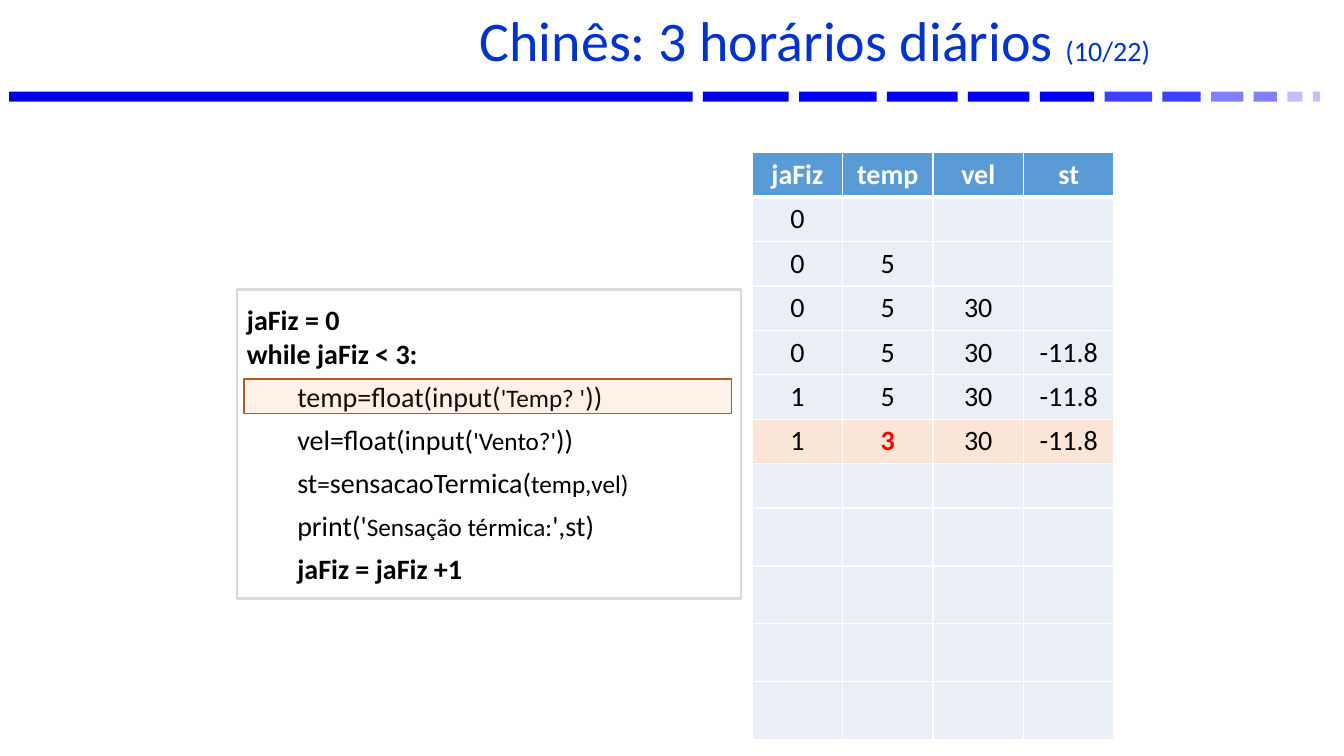
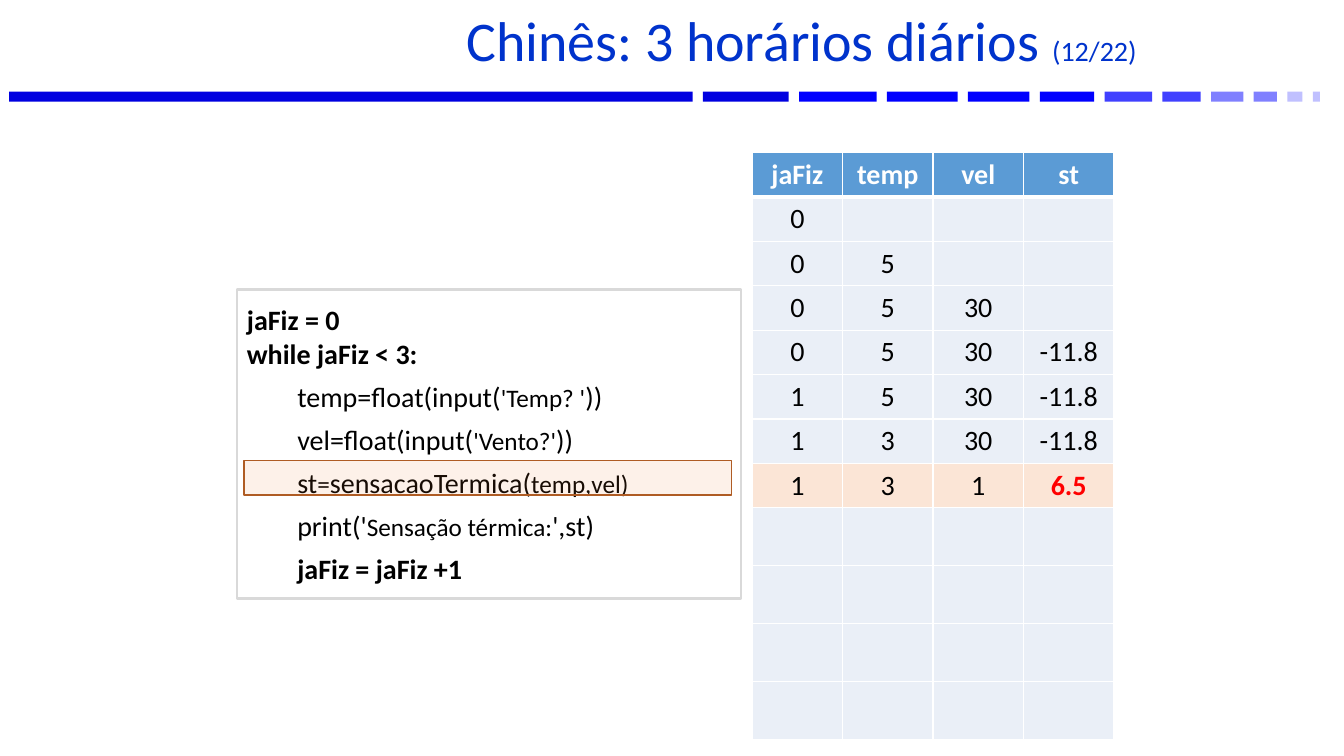
from dataclasses import dataclass

from lxml import etree
from pptx import Presentation
from pptx import util as u
from pptx.dml.color import RGBColor
from pptx.enum import shapes, text
from pptx.oxml.ns import qn


@dataclass(frozen=True)
class Theme:
    font: str = "Calibri"
    title: str = "0033CC"
    ink: str = "000000"
    paper: str = "FFFFFF"
    frame: str = "D9D9D9"
    header: str = "5B9BD5"
    cell: str = "EAEFF7"
    active: str = "FBE5D6"
    changed: str = "FF0000"
    marker: str = "ED7D31"
    marker_line: str = "AF5C24"
    title_size: int = 40
    body_size: int = 20
    small_size: int = 18


BAND_LEFT, BAND_GAP = 0.68, 0.77
BAND = [
    (50.85, "0000E0"), (6.38, "0000E0"),
    (5.78, "0000FF"), (5.25, "0000FF"), (4.58, "0000FF"), (4.05, "0000FF"),
    (3.53, "4040FF"), (2.85, "4040FF"),
    (2.4, "8080FF"), (1.73, "8080FF"),
    (1.13, "C0C0FF"), (0.53, "C0C0FF"),
]

CODE = [
    (0, True, ["jaFiz = 0"]),
    (0, True, ["while jaFiz < 3:"]),
    (1, False, ["temp=float(input(", "'Temp? '", "))"]),
    (1, False, ["vel=float(input(", "'Vento?'", "))"]),
    (1, False, ["st", "=", "sensacaoTermica(", "temp,vel)"]),
    (1, False, ["print('", "Sensação térmica:", "',st)"]),
    (1, True, ["jaFiz = jaFiz +1"]),
]

HEADER = ["jaFiz", "temp", "vel", "st"]
ROW_HEIGHTS = [5.87] * 8 + [7.67] * 4
TRACE = [
    ["0"],
    ["0", "5"],
    ["0", "5", "30"],
    ["0", "5", "30", "-11.8"],
    ["1", "5", "30", "-11.8"],
    ["1", "3", "30", "-11.8"],
    ["1", "3", "1", "6.5"],
]

SLIDES = [
    {"page": "(10/22)", "title_left": 21.28, "steps": 6, "changed": 1, "marker_top": 50.13},
    {"page": "(12/22)", "title_left": 19.28, "steps": 7, "changed": 3, "marker_top": 60.93},
]


class Deck:
    def __init__(self, theme):
        self.theme = theme
        self.prs = Presentation()
        self.prs.slide_width = u.Inches(13.33)
        self.prs.slide_height = u.Inches(7.5)
        self.s = None

    def x(self, share):
        return int(self.prs.slide_width * share / 100)

    def y(self, share):
        return int(self.prs.slide_height * share / 100)

    def area(self, left, top, width, height):
        return self.x(left), self.y(top), self.x(width), self.y(height)

    def new_slide(self):
        self.s = self.prs.slides.add_slide(self.prs.slide_layouts[6])

    def style(self, r, size, color, bold=False):
        r.font.name = self.theme.font
        r.font.size = u.Pt(size)
        r.font.bold = bold
        r.font.color.rgb = RGBColor.from_string(color)

    def rect(self, left, top, width, height, fill, line=None, weight=1, alpha=None):
        sp = self.s.shapes.add_shape(
            shapes.MSO_SHAPE.RECTANGLE, *self.area(left, top, width, height))
        sp.shadow.inherit = False
        sp.fill.solid()
        sp.fill.fore_color.rgb = RGBColor.from_string(fill)
        if alpha is not None:
            clr = sp.fill._xPr.find(qn("a:solidFill"))[0]
            etree.SubElement(clr, qn("a:alpha")).set("val", str(alpha * 1000))
        if line:
            sp.line.color.rgb = RGBColor.from_string(line)
            sp.line.width = u.Pt(weight)
        else:
            sp.line.fill.background()
        return sp

    def band(self):
        left = BAND_LEFT
        for width, color in BAND:
            self.rect(left, 12.13, width, 1.33, color)
            left += width + BAND_GAP

    def title(self, wording, page, left):
        sp = self.s.shapes.add_textbox(*self.area(left, 1.33, 100 - left, 9.33))
        tf = sp.text_frame
        tf.word_wrap = True
        tf.vertical_anchor = text.MSO_ANCHOR.MIDDLE
        p = tf.paragraphs[0]
        p.alignment = text.PP_ALIGN.CENTER
        p.line_spacing = 0.8
        for piece, size in ((wording + " ", self.theme.title_size),
                            (page, self.theme.body_size)):
            r = p.add_run()
            r.text = piece
            self.style(r, size, self.theme.title)

    def code(self, lines):
        t = self.theme
        sp = self.rect(17.63, 38.27, 37.5, 40.93, t.paper, t.frame, 2)
        tf = sp.text_frame
        tf.word_wrap = True
        tf.vertical_anchor = text.MSO_ANCHOR.MIDDLE
        tf.margin_left = tf.margin_right = u.Inches(0.1)
        tf.margin_top = tf.margin_bottom = 0
        for i, (level, bold, pieces) in enumerate(lines):
            p = tf.add_paragraph() if i else tf.paragraphs[0]
            p.alignment = text.PP_ALIGN.LEFT
            if level:
                p.level = level
                p.line_spacing = 1.2
                p.space_before = u.Pt(2)
                pPr = p._p.get_or_add_pPr()
                pPr.set("marL", str(u.Inches(0.5)))
                pPr.set("indent", "0")
            for k, piece in enumerate(pieces):
                r = p.add_run()
                r.text = piece
                self.style(r, t.small_size if k % 2 else t.body_size, t.ink, bold)

    def marker(self, top):
        self.rect(18.15, top, 36.3, 4.53, self.theme.marker,
                  self.theme.marker_line, 1, alpha=10)

    def borders(self, cell, **weights):
        tcPr = cell._tc.get_or_add_tcPr()
        for side in "LRTB":
            ln = etree.SubElement(tcPr, qn("a:ln" + side))
            ln.set("w", str(u.Pt(weights.get(side, 1))))
            fill = etree.SubElement(ln, qn("a:solidFill"))
            etree.SubElement(fill, qn("a:srgbClr")).set("val", self.theme.paper)

    def cell(self, cell, wording, fill, color, bold, **weights):
        self.borders(cell, **weights)
        cell.fill.solid()
        cell.fill.fore_color.rgb = RGBColor.from_string(fill)
        cell.vertical_anchor = text.MSO_ANCHOR.MIDDLE
        p = cell.text_frame.paragraphs[0]
        p.alignment = text.PP_ALIGN.CENTER
        if wording:
            p.text = wording
            self.style(p.runs[0], self.theme.body_size, color, bold)

    def table(self, rows, changed):
        t = self.theme
        tbl = self.s.shapes.add_table(
            len(ROW_HEIGHTS), len(HEADER),
            *self.area(55.96, 20.2, 26.93, sum(ROW_HEIGHTS))).table
        for row, height in zip(tbl.rows, ROW_HEIGHTS):
            row.height = self.y(height)
        for i in range(len(ROW_HEIGHTS)):
            values = ([HEADER] + rows)[i] if i <= len(rows) else []
            active = i == len(rows)
            for j in range(len(HEADER)):
                wording = values[j] if j < len(values) else ""
                hit = active and j == changed
                if i == 0:
                    look = (t.header, t.paper, True)
                else:
                    look = (t.active if active else t.cell,
                            t.changed if hit else t.ink, hit)
                self.cell(tbl.cell(i, j), wording, *look,
                          T=3 if i == 1 else 1, B=3 if i == 0 else 1)


def main():
    deck = Deck(Theme())
    for d in SLIDES:
        deck.new_slide()
        deck.band()
        deck.table(TRACE[:d["steps"]], d["changed"])
        deck.title("Chinês: 3 horários diários", d["page"], d["title_left"])
        deck.code(CODE)
        deck.marker(d["marker_top"])
    deck.prs.save("out.pptx")


if __name__ == "__main__":
    main()
